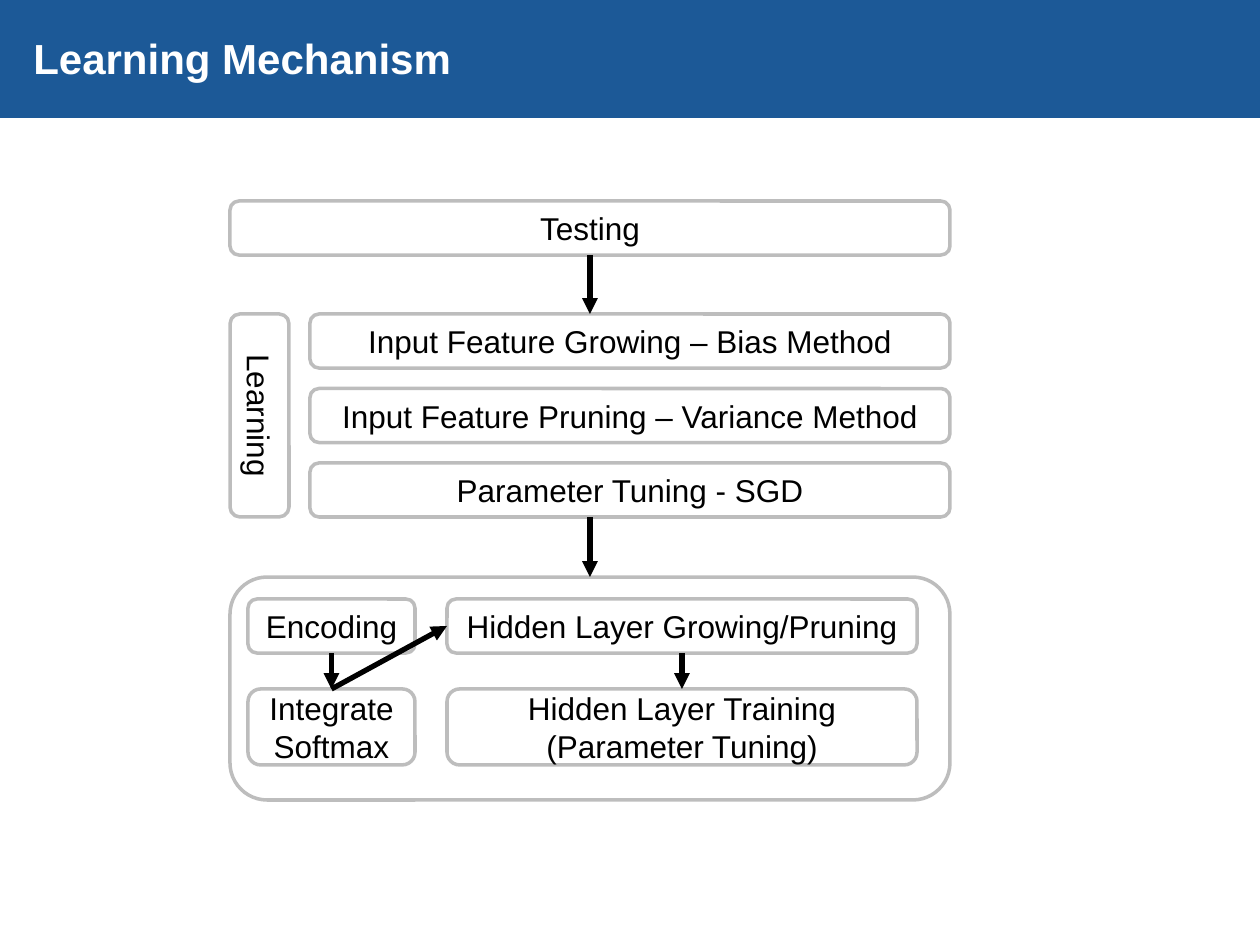
from lxml.etree import SubElement
from pptx import Presentation
from pptx.dml.color import RGBColor
from pptx.enum.shapes import MSO_CONNECTOR, MSO_SHAPE
from pptx.enum.text import MSO_ANCHOR, PP_ALIGN
from pptx.oxml.ns import qn
from pptx.util import Emu, Pt

PX_PER_INCH = 126
TOP, LEFT, BOTTOM = 0, 1, 2


def px(length):
    return Emu(round(length * 914400 / PX_PER_INCH))


def color(hex_code):
    return RGBColor.from_string(hex_code)


def write_text(shape, text, size=18, fill="000000", bold=False, align=PP_ALIGN.CENTER, vertical=False):
    frame = shape.text_frame
    frame.word_wrap = True
    frame.vertical_anchor = MSO_ANCHOR.MIDDLE
    if vertical:
        frame._txBody.bodyPr.set("vert", "vert")
    paragraph = frame.paragraphs[0]
    paragraph.alignment = align
    run = paragraph.add_run()
    run.text = text
    run.font.name = "Arial"
    run.font.size = Pt(size)
    run.font.bold = bold
    run.font.color.rgb = color(fill)


def add_box(slide, left, top, width, height, text=None, **text_format):
    shape = slide.shapes.add_shape(MSO_SHAPE.ROUNDED_RECTANGLE, px(left), px(top), px(width), px(height))
    shape.shadow.inherit = False
    shape.fill.background()
    shape.line.color.rgb = color("BDBDBD")
    shape.line.width = Pt(2)
    if text:
        write_text(shape, text, **text_format)
    return shape


def add_arrow(slide, start, end, source=None, target=None):
    connector = slide.shapes.add_connector(MSO_CONNECTOR.STRAIGHT, *map(px, start + end))
    if source:
        connector.begin_connect(*source)
    if target:
        connector.end_connect(*target)
    connector.line.color.rgb = color("000000")
    connector.line.width = Pt(3)
    properties = connector._element.spPr
    SubElement(properties.find(qn("a:ln")), qn("a:tailEnd"), type="triangle")
    SubElement(properties, qn("a:effectLst"))


def add_header(slide, left, top, width, height):
    band = slide.shapes.add_shape(MSO_SHAPE.RECTANGLE, px(left), px(top), px(width), px(height))
    band.shadow.inherit = False
    band.fill.solid()
    band.fill.fore_color.rgb = color("1C5997")
    band.line.fill.background()
    title = slide.shapes.add_textbox(px(left + 21), px(top), px(998), px(height - 2))
    write_text(title, "Learning Mechanism", size=24, fill="FFFFFF", bold=True, align=PP_ALIGN.LEFT)


def add_learning(slide, left, top, width, height):
    add_box(slide, left, top, 59, height, "Learning", vertical=True)
    steps = [
        "Input Feature Growing – Bias Method",
        "Input Feature Pruning – Variance Method",
        "Parameter Tuning - SGD",
    ]
    row_height = 54
    pitch = (height - row_height) / (len(steps) - 1)
    for index, step in enumerate(steps):
        add_box(slide, left + 80, top + index * pitch, width - 80, row_height, step)


def add_hidden_layers(slide, left, top, width, height):
    panel = add_box(slide, left, top, width, height)
    columns = [
        (18, 167, "Encoding", "Integrate Softmax"),
        (217, 470, "Hidden Layer Growing/Pruning", "Hidden Layer Training (Parameter Tuning)"),
    ]
    pairs = []
    for offset, box_width, upper_text, lower_text in columns:
        upper = add_box(slide, left + offset, top + 22, box_width, 54, upper_text)
        lower = add_box(slide, left + offset, top + 112, box_width, 76, lower_text)
        middle = left + offset + box_width / 2
        add_arrow(slide, (middle, top + 76), (middle, top + 112), (upper, BOTTOM), (lower, TOP))
        pairs.append((upper, lower))
    (_, softmax), (growing, _) = pairs
    add_arrow(slide, (left + 102, top + 112), (left + 217, top + 49), (softmax, TOP), (growing, LEFT))
    return panel


def main():
    presentation = Presentation()
    presentation.slide_width = px(1260)
    presentation.slide_height = px(945)
    slide = presentation.slides.add_slide(presentation.slide_layouts[6])
    left, width = 230, 720
    center = left + width / 2
    add_header(slide, 0, 0, 1262, 118)
    testing = add_box(slide, left, 201, width, 54, "Testing")
    add_learning(slide, left, 314, width, 203)
    panel = add_hidden_layers(slide, left, 577, width, 223)
    add_arrow(slide, (center, 255), (center, 314), source=(testing, BOTTOM))
    add_arrow(slide, (center, 517), (center, 577), target=(panel, TOP))
    presentation.save("out.pptx")


if __name__ == "__main__":
    main()
